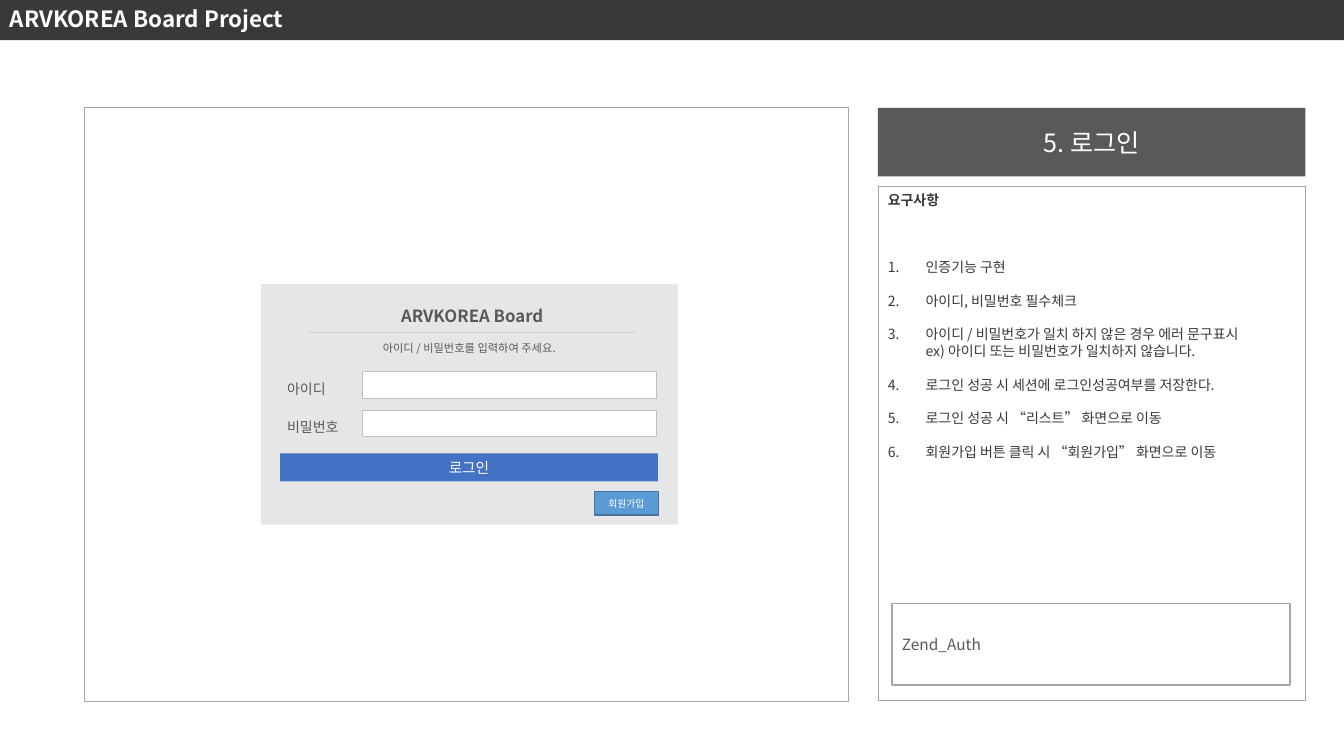
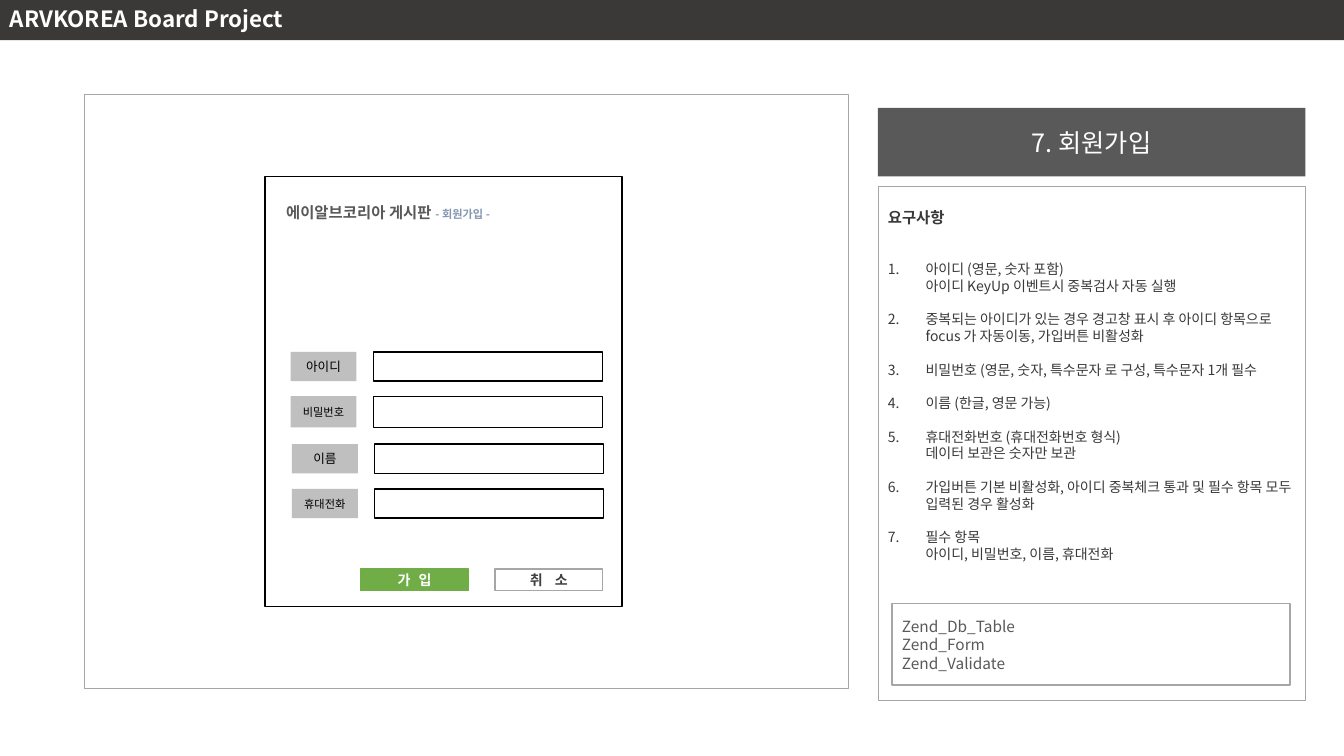
from pptx import Presentation
from pptx.dml.color import RGBColor
from pptx.enum.shapes import MSO_CONNECTOR, MSO_SHAPE
from pptx.enum.text import MSO_ANCHOR, PP_ALIGN
from pptx.oxml.ns import qn
from pptx.util import Pt
from lxml import etree

RECT, STRAIGHT = MSO_SHAPE.RECTANGLE, MSO_CONNECTOR.STRAIGHT
TOP, MIDDLE = MSO_ANCHOR.TOP, MSO_ANCHOR.MIDDLE
LEFT, CENTER = PP_ALIGN.LEFT, PP_ALIGN.CENTER

FONT = "Noto Sans CJK KR"
LINE_HEIGHT = 1.2
COLORS = {
    "white": "FFFFFF", "black": "000000", "header": "3B3838", "text": "595959",
    "dark": "404040", "border": "A6A6A6", "field": "BFBFBF", "form": "E7E6E6",
    "rule": "D0CECE", "blue": "4472C4", "sky": "5B9BD5", "sky_edge": "43739E",
    "green": "70AD47", "slate": "8497B0",
}


def rgb(name):
    return RGBColor.from_string(COLORS[name])


class Deck:
    """Shared style and the slide being drawn."""

    def __init__(self):
        self.prs = Presentation()
        self.prs.slide_width, self.prs.slide_height = Pt(960), Pt(540)
        self.slide = None

    def new_slide(self):
        self.slide = self.prs.slides.add_slide(self.prs.slide_layouts[6])
        fill = self.slide.background.fill
        fill.solid()
        fill.fore_color.rgb = rgb("white")

    def add_run(self, p, text, size, color, bold=False, spacing=0):
        r = p.add_run()
        r.text = text
        for name, value in {"size": Pt(size), "bold": bold, "name": FONT}.items():
            setattr(r.font, name, value)
        r.font.color.rgb = rgb(color)
        rPr = r._r.get_or_add_rPr()
        etree.SubElement(rPr, qn("a:ea")).set("typeface", FONT)
        if spacing:
            rPr.set("spc", str(round(spacing * 100)))

    def add_text(self, p, text, size=10, color="text", align=LEFT, before=0, **run_style):
        layout = {"alignment": align, "space_before": Pt(before),
                  "line_spacing": Pt(size * LINE_HEIGHT)}
        for name, value in layout.items():
            setattr(p, name, value)
        for i, line in enumerate(text.split("\n")):
            if i:
                p.add_line_break()
            self.add_run(p, line, size, color, **run_style)

    def frame(self, sp, anchor, inset_top=3.6):
        tf = sp.text_frame
        settings = {"word_wrap": True, "vertical_anchor": anchor,
                    "margin_top": Pt(inset_top)}
        for name, value in settings.items():
            setattr(tf, name, value)
        return tf

    def box(self, x, y, w, h, fill=None, line=None, weight=1.0, text=None, **style):
        sp = self.slide.shapes.add_shape(RECT, Pt(x), Pt(y), Pt(w), Pt(h))
        sp.shadow.inherit = False
        if fill:
            sp.fill.solid()
            sp.fill.fore_color.rgb = rgb(fill)
        else:
            sp.fill.background()
        if line:
            sp.line.color.rgb = rgb(line)
            sp.line.width = Pt(weight)
        else:
            sp.line.fill.background()
        if text:
            self.add_text(self.frame(sp, MIDDLE).paragraphs[0], text, **style)
        return sp

    def label(self, x, y, w, h, text, **style):
        sp = self.slide.shapes.add_textbox(Pt(x), Pt(y), Pt(w), Pt(h))
        p = self.frame(sp, TOP).paragraphs[0]
        self.add_text(p, text, **style)
        return p

    def rule(self, x1, x2, y):
        cn = self.slide.shapes.add_connector(STRAIGHT, Pt(x1), Pt(y), Pt(x2), Pt(y))
        cn.line.color.rgb = rgb("rule")
        cn.line.width = Pt(0.5)
        etree.SubElement(cn._element.spPr, qn("a:effectLst"))

    def requirements(self, items, heading_size, inset_top, gap):
        sp = self.box(627.1, 133.2, 305.3, 367.2, "white", "border", 0.5)
        tf = self.frame(sp, TOP, inset_top)
        self.add_text(tf.paragraphs[0], "요구사항", heading_size, "header", bold=True)
        for i, item in enumerate(items):
            p = tf.add_paragraph()
            self.add_text(p, item, color="header", before=12 if i else gap)
            pPr = p._p.get_or_add_pPr()
            pPr.set("marL", str(Pt(27)))
            pPr.set("indent", str(-Pt(27)))
            etree.SubElement(pPr, qn("a:buFont")).set("typeface", "+mj-lt")
            etree.SubElement(pPr, qn("a:buAutoNum")).set("type", "arabicPeriod")

    def page(self, title, panel_top, items, classes, **heading):
        """Header band, screen panel, title and requirements column."""
        self.new_slide()
        self.box(60.5, panel_top, 545.8, 424.1, "white", "border", 0.75)
        self.box(0, -2.2, 960, 31, "header", text="ARVKOREA Board Project",
                 size=16, color="white", bold=True)
        self.box(627.1, 77, 305.3, 49, "text", text=title,
                 size=18, color="white", align=CENTER)
        self.requirements(items, **heading)
        self.box(637.2, 431.1, 284.4, 58.3, "white", "border", text=classes, size=11)


deck = Deck()

# Slide 1: login
deck.page("5. 로그인", 77, [
    "인증기능 구현",
    "아이디, 비밀번호 필수체크",
    "아이디 / 비밀번호가 일치 하지 않은 경우 에러 문구표시\n"
    "ex) 아이디 또는 비밀번호가 일치하지 않습니다.",
    "로그인 성공 시 세션에 로그인성공여부를 저장한다.",
    "로그인 성공 시 “리스트” 화면으로 이동",
    "회원가입 버튼 클릭 시 “회원가입” 화면으로 이동",
], "Zend_Auth", heading_size=10, inset_top=3.6, gap=36)

# Login form
deck.box(186.4, 203, 297.8, 171.8, "form")
deck.label(205.9, 214.6, 262.8, 21.6, "ARVKOREA Board", size=12, bold=True, align=CENTER)
deck.rule(220.5, 453.6, 237.4)
deck.label(266.4, 240.5, 170.6, 17.3, "아이디 / 비밀번호를 입력하여 주세요.", size=8)
for i, name in enumerate(["아이디", "비밀번호"]):
    deck.box(258.7, 265.5 + 27.7 * i, 210.4, 19, "white", "field", 0.75)
    deck.label(198, 268.3 + 27 * i, 68.4, 19.4, name)
deck.box(200, 323.8, 270, 20, "blue", text="로그인",
         size=10.5, color="white", align=CENTER)
deck.box(424.6, 351.2, 45.6, 16.8, "sky", "sky_edge", text="회원가입",
         size=7, color="white", align=CENTER)

# Slide 2: sign-up
deck.page("7. 회원가입", 67.5, [
    "아이디 (영문, 숫자 포함)\n아이디 KeyUp 이벤트시 중복검사 자동 실행",
    "중복되는 아이디가 있는 경우 경고창 표시 후 아이디 항목으로 "
    "focus 가 자동이동, 가입버튼 비활성화",
    "비밀번호 (영문, 숫자, 특수문자 로 구성, 특수문자 1개 필수",
    "이름 (한글, 영문 가능)",
    "휴대전화번호 (휴대전화번호 형식)\n데이터 보관은 숫자만 보관",
    "가입버튼 기본 비활성화, 아이디 중복체크 통과 및 필수 항목 "
    "모두 입력된 경우 활성화",
    "필수 항목\n아이디, 비밀번호, 이름, 휴대전화",
], "Zend_Db_Table\nZend_Form\nZend_Validate", heading_size=11, inset_top=15.6, gap=24)

# Sign-up form
deck.box(189.4, 126.2, 254.9, 307.1, line="black")
p = deck.label(197.3, 141.8, 180, 20.9, "에이알브코리아 게시판 ", size=11, bold=True)
deck.add_run(p, "- 회원가입 -", 8, "slate", bold=True)
fields = [("아이디", 207.6, 251.3, 20.9, 9), ("비밀번호", 207.6, 283, 22.3, 8),
          ("이름", 208.6, 317.2, 20.9, 9), ("휴대전화", 208.6, 349.2, 20.9, 8)]
for name, x, y, h, size in fields:
    deck.box(x, y, 47, h, "field", text=name, size=size, color="black", align=CENTER)
    deck.box(x + 59, y, 163.6, h, line="black")

# Buttons
deck.box(257.6, 406.5, 77, 15.4, "green", "green", text="가 입",
         color="white", align=CENTER, bold=True, spacing=1.8)
deck.box(353.5, 406.5, 77, 15.4, line="border", text="취 소",
         color="dark", align=CENTER, bold=True, spacing=3.2)

deck.prs.save("out.pptx")
